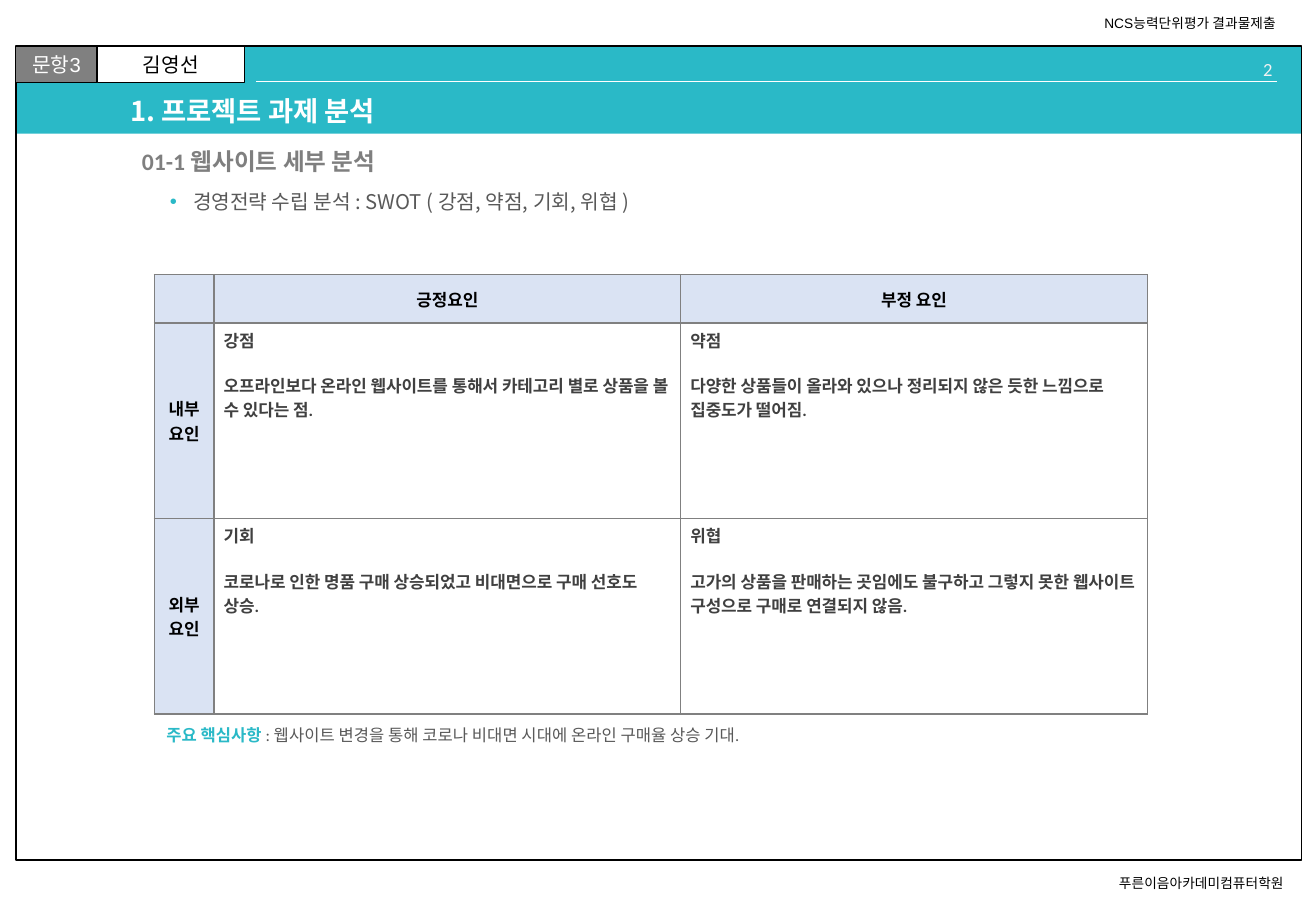
from dataclasses import dataclass

from lxml.etree import SubElement
from pptx import Presentation
from pptx.dml.color import RGBColor
from pptx.enum.shapes import MSO_CONNECTOR as Connector, MSO_SHAPE as Shape
from pptx.enum.text import MSO_ANCHOR as Anchor, MSO_AUTO_SIZE as AutoSize, PP_ALIGN as Align
from pptx.oxml.ns import qn
from pptx.util import Inches, Pt


@dataclass(frozen=True)
class Theme:
    teal: str = "2AB9C7"
    white: str = "FFFFFF"
    black: str = "000000"
    gray: str = "808080"
    heading: str = "7F7F7F"
    text: str = "595959"
    cell_text: str = "404040"
    label_fill: str = "DAE3F3"
    page_number: str = "F2F2F2"
    sans: str = "Arial"
    body: str = "Calibri"
    korean: str = "Noto Sans CJK KR"
    note_size: float = 8.1
    key_size: float = 9.8
    cell_size: float = 10
    page_size: float = 11
    body_size: float = 12
    heading_size: float = 14
    title_size: float = 16.2


THEME = Theme()


@dataclass(frozen=True)
class Box:
    """A rectangle in inches; areas inside it are given in percent of it."""
    left: float
    top: float
    width: float
    height: float

    def area(self, x, y, width, height):
        return Box(self.left + self.width * x / 100, self.top + self.height * y / 100,
                   self.width * width / 100, self.height * height / 100)

    def place(self):
        return [Inches(v) for v in (self.left, self.top, self.width, self.height)]


SLIDE = Box(0, 0, 10.83, 7.5)


def style(font, size, color, name=THEME.body, bold=False):
    font.size, font.name, font.bold = Pt(size), name, bold
    font.color.rgb = RGBColor.from_string(color)
    SubElement(font._rPr, qn("a:ea"), typeface=THEME.korean)


def write(frame, text, size, color, name=THEME.body, bold=False, align=Align.LEFT):
    para = frame.paragraphs[0]
    para.text, para.alignment = text, align
    style(para.font, size, color, name, bold)
    return para


def add_text(slide, box, anchor=Anchor.TOP, wrap=True):
    frame = slide.shapes.add_textbox(*box.place()).text_frame
    frame.word_wrap, frame.vertical_anchor = wrap, anchor
    return frame


def add_panel(slide, box, fill=None, line=None, width=0.75):
    panel = slide.shapes.add_shape(Shape.RECTANGLE, *box.place())
    panel.shadow.inherit = False
    if fill:
        panel.fill.solid()
        panel.fill.fore_color.rgb = RGBColor.from_string(fill)
    else:
        panel.fill.background()
    if line:
        panel.line.color.rgb = RGBColor.from_string(line)
        panel.line.width = Pt(width)
    else:
        panel.line.fill.background()
    return panel


def add_banner(slide, frame_box):
    # Band and page frame
    add_panel(slide, frame_box.area(0, 0, 100, 10.75), THEME.teal)
    add_panel(slide, frame_box, line=THEME.black, width=1)

    # Question tag and student name
    tags = [("문항3", 0, 6.33, THEME.gray, THEME.white),
            ("김영선", 6.33, 11.44, THEME.white, THEME.black)]
    for text, x, width, fill, color in tags:
        tag = add_panel(slide, frame_box.area(x, 0, width, 4.48), fill, THEME.black)
        tag.text_frame.vertical_anchor = Anchor.MIDDLE
        write(tag.text_frame, text, THEME.body_size, color, THEME.sans, align=Align.CENTER)

    # Page number over a thin rule
    number = add_text(slide, frame_box.area(87.52, 0.75, 11.15, 3))
    write(number, "2", THEME.page_size, THEME.page_number, align=Align.RIGHT)
    left, top, width, _ = frame_box.area(18.71, 4.33, 79.4, 0).place()
    rule = slide.shapes.add_connector(Connector.STRAIGHT, left, top, left + width, top)
    rule.line.color.rgb = RGBColor.from_string(THEME.white)
    rule.line.width = Pt(0.5)
    SubElement(rule.element.spPr, qn("a:effectLst"))


def add_margin_notes(slide, page_box):
    notes = [("NCS능력단위평가 결과물제출", page_box.area(83.01, 0.93, 15.88, 3.2)),
             ("푸른이음아카데미컴퓨터학원", page_box.area(84.12, 95.33, 15.51, 3.2))]
    for text, box in notes:
        write(add_text(slide, box, wrap=False), text, THEME.note_size, THEME.black, THEME.sans)


def add_headings(slide, frame_box):
    # Title, brought in front of the band
    title = slide.shapes.title
    title.element.getparent().append(title.element)
    title.left, title.top, title.width, title.height = frame_box.area(7.94, 5.67, 82.8, 5.07).place()
    title.text_frame.auto_size = AutoSize.NONE
    title.text_frame.vertical_anchor = Anchor.MIDDLE
    para = write(title.text_frame, "1. 프로젝트 과제 분석", THEME.title_size, THEME.white,
                 THEME.korean, bold=True)
    para.line_spacing = 0.9

    # Section heading
    heading = add_text(slide, frame_box.area(8.88, 11.79, 81.85, 5.07), Anchor.MIDDLE)
    para = write(heading, "01-1 웹사이트 세부 분석", THEME.heading_size, THEME.heading, bold=True)
    para.line_spacing = 0.9

    # Bullet
    topic = add_text(slide, frame_box.area(11.06, 16.87, 79.68, 5.07))
    para = write(topic, "경영전략 수립 분석 : SWOT ( 강점, 약점, 기회, 위협 )",
                 THEME.body_size, THEME.text, THEME.korean)
    add_bullet(para, Inches(0.19))


def add_bullet(para, indent):
    props = para._p.get_or_add_pPr()
    props.set("marL", str(indent))
    props.set("indent", str(-indent))
    color = SubElement(props, qn("a:buClr"))
    SubElement(color, qn("a:srgbClr"), val=THEME.teal)
    SubElement(props, qn("a:buFont"), typeface=THEME.sans)
    SubElement(props, qn("a:buChar"), char="•")
    props.append(props.find(qn("a:defRPr")))


def add_borders(cell):
    props = cell._tc.get_or_add_tcPr()
    for index, side in enumerate(("lnL", "lnR", "lnT", "lnB")):
        border = props.makeelement(qn(f"a:{side}"), {"w": str(Pt(1))})
        props.insert(index, border)
        fill = SubElement(border, qn("a:solidFill"))
        SubElement(fill, qn("a:srgbClr"), val=THEME.gray)


SWOT = [
    ["", "긍정요인", "부정 요인"],
    ["내부요인",
     ("강점", "오프라인보다 온라인 웹사이트를 통해서 카테고리 별로 상품을 볼 수 있다는 점."),
     ("약점", "다양한 상품들이 올라와 있으나 정리되지 않은 듯한 느낌으로 집중도가 떨어짐.")],
    ["외부요인",
     ("기회", "코로나로 인한 명품 구매 상승되었고 비대면으로 구매 선호도 상승."),
     ("위협", "고가의 상품을 판매하는 곳임에도 불구하고 그렇지 못한 웹사이트 구성으로 구매로 연결되지 않음.")],
]


def fill_cell(cell, content):
    cell.margin_left = cell.margin_right = Inches(0.08)
    cell.margin_top = cell.margin_bottom = Inches(0.04)
    frame = cell.text_frame
    if isinstance(content, str):
        cell.fill.solid()
        cell.fill.fore_color.rgb = RGBColor.from_string(THEME.label_fill)
        cell.vertical_anchor = Anchor.MIDDLE
        write(frame, content, THEME.cell_size, THEME.black, bold=True, align=Align.CENTER)
    else:
        cell.fill.background()
        name, detail = content
        para = write(frame, name, THEME.cell_size, THEME.cell_text, bold=True)
        para.space_after = Pt(12.5)
        para = frame.add_paragraph()
        para.text = detail
        style(para.font, THEME.cell_size, THEME.cell_text, bold=True)
    add_borders(cell)


def add_swot_table(slide, box):
    table = slide.shapes.add_table(len(SWOT), len(SWOT[0]), *box.place()).table
    table.first_row = table.horz_banding = False
    for column, share in zip(table.columns, (6, 47, 47)):
        column.width = Inches(box.width * share / 100)
    for row, share in zip(table.rows, (11, 44.5, 44.5)):
        row.height = Inches(box.height * share / 100)
    for row, contents in zip(table.rows, SWOT):
        for cell, content in zip(row.cells, contents):
            fill_cell(cell, content)


def add_key_point(slide, box):
    para = add_text(slide, box).paragraphs[0]
    spans = [("주요 핵심사항 ", THEME.teal, True),
             (": 웹사이트 변경을 통해 코로나 비대면 시대에 온라인 구매율 상승 기대.", THEME.text, False)]
    for text, color, bold in spans:
        span = para.add_run()
        span.text = text
        style(span.font, THEME.key_size, color, bold=bold)


def main():
    deck = Presentation()
    deck.slide_width, deck.slide_height = Inches(SLIDE.width), Inches(SLIDE.height)
    slide = deck.slides.add_slide(deck.slide_layouts.get_by_name("Title Only"))
    frame_box = SLIDE.area(1.2, 5.07, 97.7, 89.33)
    add_banner(slide, frame_box)
    add_margin_notes(slide, SLIDE)
    add_headings(slide, frame_box)
    add_swot_table(slide, frame_box.area(10.78, 28.06, 77.22, 54.03))
    add_key_point(slide, frame_box.area(10.78, 82.69, 77.22, 4.03))
    deck.save("out.pptx")


if __name__ == "__main__":
    main()
